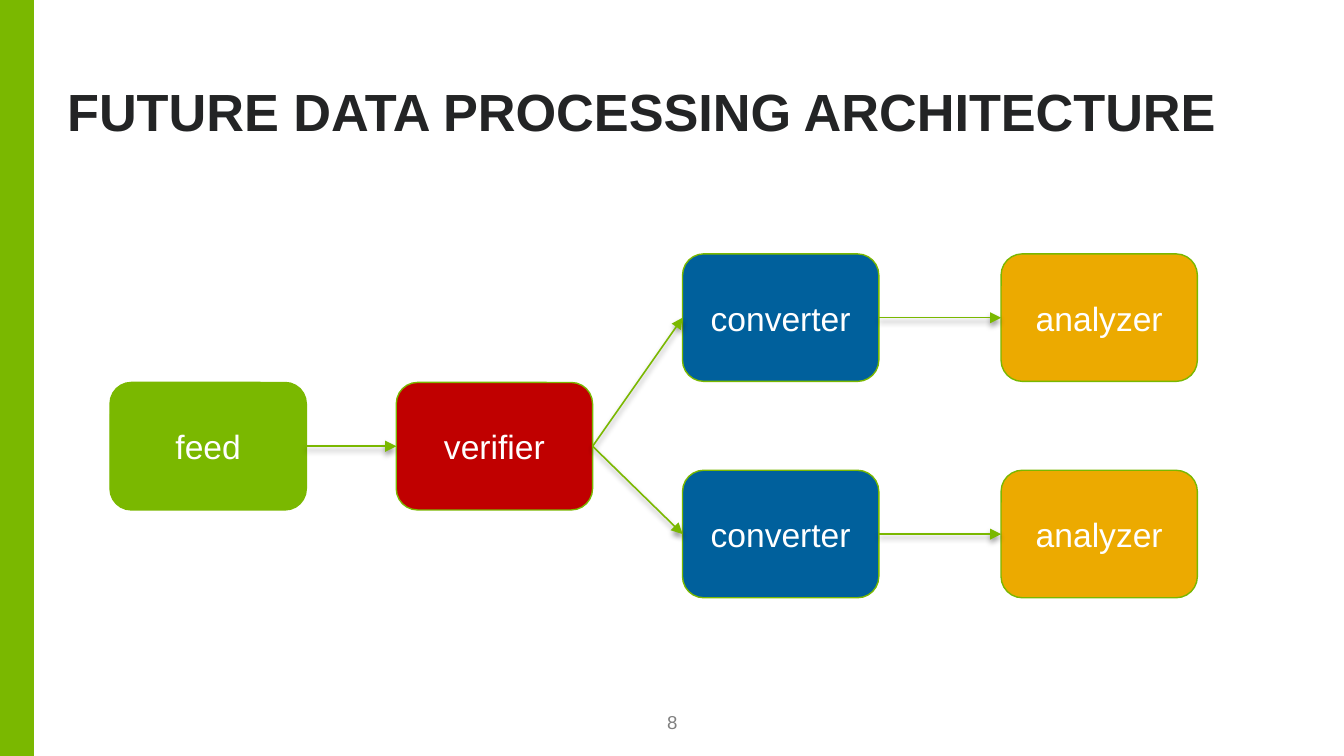
from dataclasses import dataclass

from lxml import etree
from pptx import Presentation
from pptx.dml.color import RGBColor
from pptx.enum.shapes import MSO_CONNECTOR, MSO_SHAPE
from pptx.enum.text import MSO_ANCHOR, MSO_AUTO_SIZE, PP_ALIGN
from pptx.oxml import parse_xml
from pptx.oxml.ns import nsdecls, qn
from pptx.shapes.autoshape import Shape
from pptx.slide import Slide
from pptx.text.text import TextFrame
from pptx.util import Cm, Pt

RECT, ROUND = MSO_SHAPE.RECTANGLE, MSO_SHAPE.ROUNDED_RECTANGLE
LINE = MSO_CONNECTOR.STRAIGHT
LEFT, CENTER = PP_ALIGN.LEFT, PP_ALIGN.CENTER
MIDDLE, BOTTOM = MSO_ANCHOR.MIDDLE, MSO_ANCHOR.BOTTOM
LEFT_SIDE, RIGHT_SIDE = 1, 3

FONT = "Arial"
COLORS = {
    "green": "7AB800",
    "red": "C00000",
    "blue": "00609C",
    "gold": "ECAA00",
    "white": "FFFFFF",
    "dark": "232425",
    "gray": "808080",
}

BOX_W, BOX_H = 3.71, 2.41
COLS = (2.08, 7.49, 12.9, 18.92)
TOP_ROW, MID_ROW, LOW_ROW = 4.8, 7.23, 8.89


@dataclass(frozen=True)
class Node:
    key: str
    text: str
    color: str
    left: float
    top: float


NODES = (
    Node("feed", "feed", "green", COLS[0], MID_ROW),
    Node("check", "verifier", "red", COLS[1], MID_ROW),
    Node("turn_top", "converter", "blue", COLS[2], TOP_ROW),
    Node("turn_low", "converter", "blue", COLS[2], LOW_ROW),
    Node("scan_top", "analyzer", "gold", COLS[3], TOP_ROW),
    Node("scan_low", "analyzer", "gold", COLS[3], LOW_ROW),
)
LINKS = (
    ("feed", "check"),
    ("check", "turn_top"),
    ("turn_top", "scan_top"),
    ("check", "turn_low"),
    ("turn_low", "scan_low"),
)


def color_of(name: str) -> RGBColor:
    return RGBColor.from_string(COLORS[name])


def write(frame: TextFrame, text: str, size: float, color: str,
          align: PP_ALIGN, anchor: MSO_ANCHOR, bold: bool = False) -> None:
    frame.word_wrap = True
    frame.vertical_anchor = anchor
    para = frame.paragraphs[0]
    para.alignment = align
    run = para.add_run()
    run.text = text
    run.font.name = FONT
    run.font.size = Pt(size)
    run.font.bold = bold
    run.font.color.rgb = color_of(color)


def set_pad(frame: TextFrame, top: float = 0) -> None:
    frame.margin_left = frame.margin_right = frame.margin_bottom = 0
    frame.margin_top = Cm(top)


def add_bar(slide: Slide, height: int) -> None:
    bar = slide.shapes.add_shape(RECT, 0, 0, Cm(0.64), height)
    bar.shadow.inherit = False
    bar.fill.solid()
    bar.fill.fore_color.rgb = color_of("green")
    bar.line.fill.background()


def add_title(slide: Slide) -> None:
    title = slide.shapes.title
    title.left, title.top = Cm(1.27), Cm(0.99)
    title.width, title.height = Cm(23.27), Cm(1.73)
    frame = title.text_frame
    frame.auto_size = MSO_AUTO_SIZE.NONE
    set_pad(frame)
    write(frame, "FUTURE DATA PROCESSING ARCHITECTURE", 28, "dark",
          LEFT, BOTTOM, bold=True)
    frame.paragraphs[0].line_spacing = 0.95


def add_number(slide: Slide) -> None:
    box = slide.shapes.add_textbox(Cm(12.07), Cm(13.49), Cm(1.27), Cm(0.38))
    set_pad(box.text_frame, 0.13)
    write(box.text_frame, "8", 10, "gray", CENTER, BOTTOM)


def add_node(slide: Slide, node: Node) -> Shape:
    box = slide.shapes.add_shape(ROUND, Cm(node.left), Cm(node.top),
                                 Cm(BOX_W), Cm(BOX_H))
    box.shadow.inherit = False
    box.fill.solid()
    box.fill.fore_color.rgb = color_of(node.color)
    box.line.color.rgb = color_of("green")
    box.line.width = Pt(0.75)
    write(box.text_frame, node.text, 18, "white", CENTER, MIDDLE)
    return box


def add_link(slide: Slide, start: Shape, end: Shape) -> None:
    """Join two boxes by an arrow with a soft shadow below it."""
    link = slide.shapes.add_connector(LINE, 0, 0, 0, 0)
    link.begin_connect(start, RIGHT_SIDE)
    link.end_connect(end, LEFT_SIDE)
    link.line.color.rgb = color_of("green")
    link.line.width = Pt(0.85)
    etree.SubElement(link.line._get_or_add_ln(), qn("a:tailEnd"), type="triangle")
    link._element.spPr.append(parse_xml(
        f'<a:effectLst {nsdecls("a")}>'
        f'<a:outerShdw blurRad="{Pt(3)}" dist="{Pt(2)}" dir="5400000" rotWithShape="0">'
        '<a:srgbClr val="000000"><a:alpha val="40000"/></a:srgbClr>'
        '</a:outerShdw></a:effectLst>'))


def main() -> None:
    deck = Presentation()
    deck.slide_width, deck.slide_height = Cm(25.4), Cm(14.29)
    slide = deck.slides.add_slide(deck.slide_layouts[5])
    add_bar(slide, deck.slide_height)
    add_title(slide)
    add_number(slide)
    boxes = {node.key: add_node(slide, node) for node in NODES}
    for start, end in LINKS:
        add_link(slide, boxes[start], boxes[end])
    deck.save("out.pptx")


if __name__ == "__main__":
    main()
